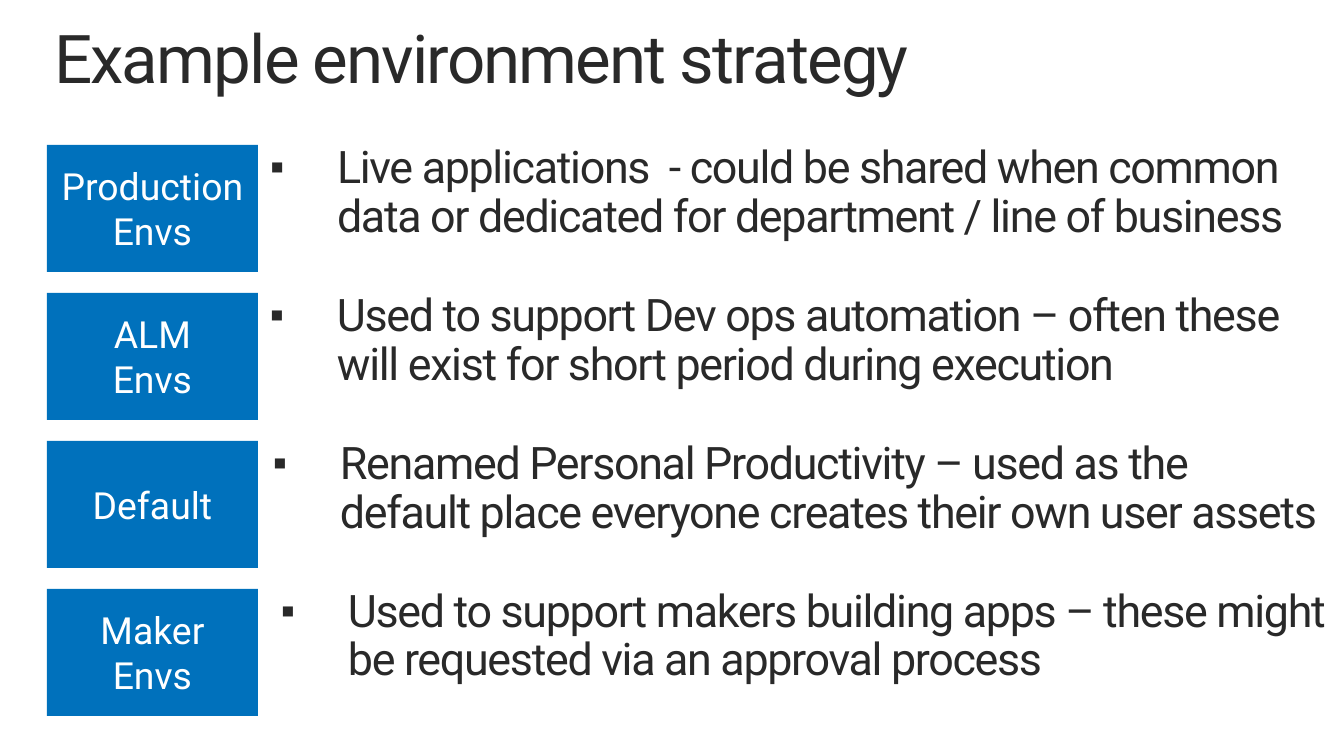
from lxml import etree
from pptx import Presentation
from pptx.dml.color import RGBColor
from pptx.enum.shapes import MSO_SHAPE
from pptx.enum.text import MSO_ANCHOR, MSO_AUTO_SIZE, PP_ALIGN
from pptx.oxml.ns import qn
from pptx.util import Pt

PX = 914400 / 134.4  # EMU per px
INK = RGBColor(0x29, 0x29, 0x29)
BLUE = RGBColor(0x00, 0x71, 0xBC)
WHITE = RGBColor(0xFF, 0xFF, 0xFF)
RECTANGLE = MSO_SHAPE.RECTANGLE
TOP, MIDDLE = MSO_ANCHOR.TOP, MSO_ANCHOR.MIDDLE
GROW = MSO_AUTO_SIZE.SHAPE_TO_FIT_TEXT
LEFT, CENTER = PP_ALIGN.LEFT, PP_ALIGN.CENTER

FIRST_ROW, ROW_PITCH = 145, 148
INDENT = 67
ENVIRONMENTS = [  # label, left edge of the description, description
    ("Production\nEnvs", 270, "Live applications  - could be shared when common "
     "data or dedicated for department / line of business"),
    ("ALM\nEnvs", 270, "Used to support Dev ops automation – often these "
     "will exist for short period during execution"),
    ("Default", 273, "Renamed Personal Productivity – used as the "
     "default place everyone creates their own user assets"),
    ("Maker Envs", 281, "Used to support makers building apps – these might "
     "be requested via an approval process"),
]


def emu(px):
    return round(px * PX)


def add_bullet(paragraph):
    props = paragraph._p.get_or_add_pPr()
    props.set("marL", str(emu(INDENT)))
    props.set("indent", str(-emu(INDENT)))
    color = etree.SubElement(props, qn("a:buClr"))
    etree.SubElement(color, qn("a:srgbClr"), val=str(INK))
    etree.SubElement(props, qn("a:buSzPct"), val="90000")
    etree.SubElement(props, qn("a:buFont"), typeface="Arial")
    etree.SubElement(props, qn("a:buChar"), char="▪")


def write(frame, text, size, color=INK, align=LEFT, line_spacing=1.0,
          tracking=0, bullet=False):
    """Fill a text frame, one paragraph per line of text."""
    for number, line in enumerate(text.split("\n")):
        paragraph = frame.add_paragraph() if number else frame.paragraphs[0]
        if bullet:
            add_bullet(paragraph)
        paragraph.alignment = align
        paragraph.line_spacing = line_spacing
        paragraph.space_before = Pt(0)
        run = paragraph.add_run()
        run.text = line
        run.font.name = "Roboto"
        run.font.size = Pt(size)
        run.font.color.rgb = color
        if tracking:
            run._r.get_or_add_rPr().set("spc", str(round(tracking * 100)))


class StrategySlide:
    def __init__(self, deck):
        self.slide = deck.slides.add_slide(deck.slide_layouts[1])

    def text_area(self, shape, left, top, width, height):
        """Place a title, list or text box with no insets."""
        shape.left, shape.top = emu(left), emu(top)
        shape.width, shape.height = emu(width), emu(height)
        frame = shape.text_frame
        frame.word_wrap = True
        frame.auto_size = GROW
        frame.vertical_anchor = TOP
        frame.margin_left = frame.margin_right = 0
        frame.margin_top = frame.margin_bottom = 0
        return frame

    def title(self, text):
        frame = self.text_area(self.slide.shapes.title, 54, 25, 1246, 74)
        write(frame, text, 36, line_spacing=0.9, tracking=-1)

    def description(self, text, left, top, in_body):
        if in_body:
            shape = self.slide.placeholders[1]
        else:
            shape = self.slide.shapes.add_textbox(0, 0, 0, 0)
        frame = self.text_area(shape, left, top, 1046, 98)
        write(frame, text, 24, line_spacing=0.9, tracking=-0.7, bullet=True)

    def label(self, text, top):
        tile = self.slide.shapes.add_shape(
            RECTANGLE, emu(47), emu(top), emu(211), emu(127))
        tile.shadow.inherit = False
        tile.fill.solid()
        tile.fill.fore_color.rgb = BLUE
        tile.line.fill.background()
        tile.text_frame.word_wrap = True
        tile.text_frame.vertical_anchor = MIDDLE
        write(tile.text_frame, text, 20, color=WHITE, align=CENTER)


def main():
    deck = Presentation()
    deck.slide_width, deck.slide_height = emu(1344), emu(756)
    strategy = StrategySlide(deck)

    # Heading
    strategy.title("Example environment strategy")

    # One row per environment
    for row, (name, left, purpose) in enumerate(ENVIRONMENTS):
        top = FIRST_ROW + row * ROW_PITCH
        strategy.label(name, top)
        strategy.description(purpose, left, top, in_body=row == 0)

    deck.save("out.pptx")


if __name__ == "__main__":
    main()
